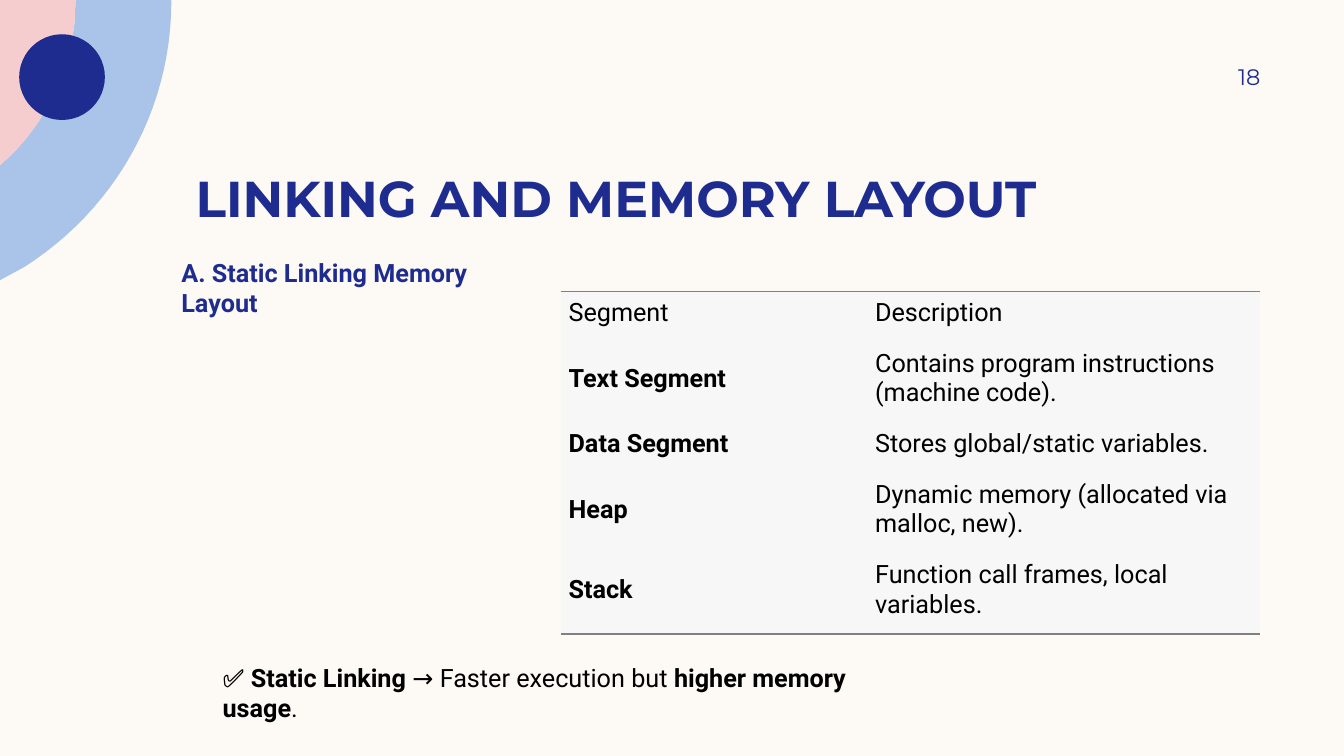
"""Build the slide on linking and memory layout."""
from dataclasses import dataclass

import lxml.etree
import pptx
import pptx.dml.color
import pptx.enum.shapes
import pptx.enum.text
import pptx.oxml
import pptx.oxml.ns
import pptx.shapes.autoshape
import pptx.slide
import pptx.table
import pptx.text.text
import pptx.util

Inches = pptx.util.Inches
Anchor = pptx.enum.text.MSO_ANCHOR
Align = pptx.enum.text.PP_ALIGN
Point = tuple[float, float]

COLORS = {
    "cream": "FDFAF6",
    "blue": "AAC3E8",
    "pink": "F5CDCE",
    "navy": "1F2C8F",
    "black": "000000",
    "cell": "F7F7F7",
    "rule": "808080",
}
CURVE_STEPS = 24
SEGMENTS = [
    ("Segment", "Description"),
    ("Text Segment", "Contains program instructions (machine code)."),
    ("Data Segment", "Stores global/static variables."),
    ("Heap", "Dynamic memory (allocated via malloc, new)."),
    ("Stack", "Function call frames, local variables."),
]
COLUMN_WIDTHS = [3.04, 3.9]
ROW_HEIGHTS = [0.5, 0.8, 0.5, 0.8, 0.8]


@dataclass(frozen=True)
class Band:
    """A corner area whose steps are line ends (1 point) or curves (3 points)."""
    color: str
    start: Point
    steps: list[list[Point]]


@dataclass(frozen=True)
class Label:
    """A text box made of (text, bold) phrases."""
    phrases: list[tuple[str, bool]]
    box: tuple[float, float, float, float]
    insets: tuple[float, float, float, float] = (0.1, 0.05, 0.1, 0.05)
    size: int = 18
    font: str = "Roboto"
    color: str = "navy"
    anchor: Anchor = Anchor.TOP
    align: Align = Align.LEFT
    grows: bool = False


INNER_ARC = [(0.68, 0.73), (0.46, 1.19), (0.11, 1.54)]
BANDS = [
    Band("blue", (0.75, 0), [
        [(1.7, 0)], [(1.7, 0.01)], [(1.7, 1.12), (1.12, 2.09), (0.24, 2.65)],
        [(0, 2.78)], [(0, 1.64)], [(0.11, 1.54)],
        [(0.46, 1.19), (0.68, 0.73), (0.74, 0.22)],
    ]),
    Band("pink", (0, 0), [[(0.75, 0)], [(0.74, 0.22)], INNER_ARC, [(0, 1.64)]]),
]
LABELS = [
    Label([(" LINKING AND MEMORY LAYOUT", True)], (1.7, 1.19, 10.8, 1.07),
          (0.1, 0, 0.1, 0), 36, "Montserrat", anchor=Anchor.BOTTOM),
    Label([("A. Static Linking Memory Layout", True)], (1.7, 2.55, 3.25, 4.05),
          (0.1, 0, 0.1, 0)),
    Label([("18", False)], (11.33, 0.5, 1.17, 0.52), (0.1, 0.05, 0, 0.05), 16,
          "Montserrat", anchor=Anchor.MIDDLE, align=Align.RIGHT),
    Label([("✅ ", False), ("Static Linking", True),
           (" → Faster execution but ", False), ("higher memory usage", True),
           (".", False)], (2.11, 6.52, 6.67, 0.71), color="black", grows=True),
]


def rgb(name: str) -> pptx.dml.color.RGBColor:
    """Return a named colour."""
    return pptx.dml.color.RGBColor.from_string(COLORS[name])


def curve(points: list[Point]) -> list[Point]:
    """Return points along a cubic curve through four control points."""
    return [
        tuple(
            a * (1 - t) ** 3 + 3 * b * t * (1 - t) ** 2 + 3 * c * t ** 2 * (1 - t) + d * t ** 3
            for a, b, c, d in zip(*points)
        )
        for t in (step / CURVE_STEPS for step in range(1, CURVE_STEPS + 1))
    ]


def paint(area: pptx.shapes.autoshape.Shape, color: str) -> None:
    """Fill an area without outline or shadow."""
    area.fill.solid()
    area.fill.fore_color.rgb = rgb(color)
    area.line.fill.background()
    area.shadow.inherit = False


def draw_band(slide: pptx.slide.Slide, band: Band) -> None:
    """Draw one corner band."""
    outline = [band.start]
    for step in band.steps:
        outline += step if len(step) == 1 else curve([outline[-1], *step])
    start, *corners = [(Inches(x), Inches(y)) for x, y in outline]
    builder = slide.shapes.build_freeform(*start)
    builder.add_line_segments(corners, close=True)
    paint(builder.convert_to_shape(), band.color)


def style(paragraph: pptx.text.text._Paragraph, font: str, size: int, color: str) -> None:
    """Set the font of a paragraph."""
    paragraph.font.name = font
    paragraph.font.size = pptx.util.Pt(size)
    paragraph.font.color.rgb = rgb(color)


def draw_label(slide: pptx.slide.Slide, label: Label) -> None:
    """Draw one text box."""
    frame = slide.shapes.add_textbox(*map(Inches, label.box)).text_frame
    frame.word_wrap = True
    frame.vertical_anchor = label.anchor
    (frame.margin_left, frame.margin_top,
     frame.margin_right, frame.margin_bottom) = map(Inches, label.insets)
    if label.grows:
        frame.auto_size = pptx.enum.text.MSO_AUTO_SIZE.SHAPE_TO_FIT_TEXT
    paragraph = frame.paragraphs[0]
    paragraph.alignment = label.align
    style(paragraph, label.font, label.size, label.color)
    same_weight = len({bold for _, bold in label.phrases}) == 1
    if same_weight:
        paragraph.font.bold = label.phrases[0][1]
    for text, bold in label.phrases:
        run = paragraph.add_run()
        run.text = text
        if not same_weight:
            run.font.bold = bold


def set_borders(cell: pptx.table._Cell, ruled: set[str]) -> None:
    """Rule the given sides of a cell and clear the others."""
    properties = cell._tc.get_or_add_tcPr()
    for index, side in enumerate("LRTB"):
        line = pptx.oxml.parse_xml(
            f'<a:ln{side} {pptx.oxml.ns.nsdecls("a")} w="12700"/>')
        tag = "a:solidFill" if side in ruled else "a:noFill"
        fill = lxml.etree.SubElement(line, pptx.oxml.ns.qn(tag))
        if side in ruled:
            lxml.etree.SubElement(
                fill, pptx.oxml.ns.qn("a:srgbClr"), val=COLORS["rule"])
        properties.insert(index, line)


def draw_segments(slide: pptx.slide.Slide) -> None:
    """Draw the table of memory segments."""
    table = slide.shapes.add_table(
        len(SEGMENTS), len(COLUMN_WIDTHS), Inches(5.56), Inches(2.89),
        Inches(sum(COLUMN_WIDTHS)), Inches(sum(ROW_HEIGHTS))).table
    table.first_row = table.horz_banding = False
    for column, width in zip(table.columns, COLUMN_WIDTHS):
        column.width = Inches(width)
    last = len(SEGMENTS) - 1
    for r, (texts, height) in enumerate(zip(SEGMENTS, ROW_HEIGHTS)):
        table.rows[r].height = Inches(height)
        for c, text in enumerate(texts):
            cell = table.cell(r, c)
            cell.text = text
            cell.vertical_anchor = Anchor.MIDDLE
            cell.margin_left = cell.margin_right = Inches(0.08)
            cell.margin_top, cell.margin_bottom = Inches(0.04), Inches(0.11)
            cell.fill.solid()
            cell.fill.fore_color.rgb = rgb("cell")
            paragraph = cell.text_frame.paragraphs[0]
            style(paragraph, "Roboto", 18, "black")
            paragraph.font.bold = r > 0 and c == 0
            set_borders(cell, {"T"} if r == 0 else {"B"} if r == last else set())


def main() -> None:
    """Build and save the presentation."""
    deck = pptx.Presentation()
    deck.slide_width, deck.slide_height = Inches(13.33), Inches(7.5)
    slide = deck.slides.add_slide(deck.slide_layouts[6])
    slide.background.fill.solid()
    slide.background.fill.fore_color.rgb = rgb("cream")
    for band in BANDS:
        draw_band(slide, band)
    dot = slide.shapes.add_shape(
        pptx.enum.shapes.MSO_SHAPE.OVAL, *map(Inches, (0.19, 0.34, 0.85, 0.85)))
    paint(dot, "navy")
    for label in LABELS:
        draw_label(slide, label)
    draw_segments(slide)
    deck.save("out.pptx")


if __name__ == "__main__":
    main()
